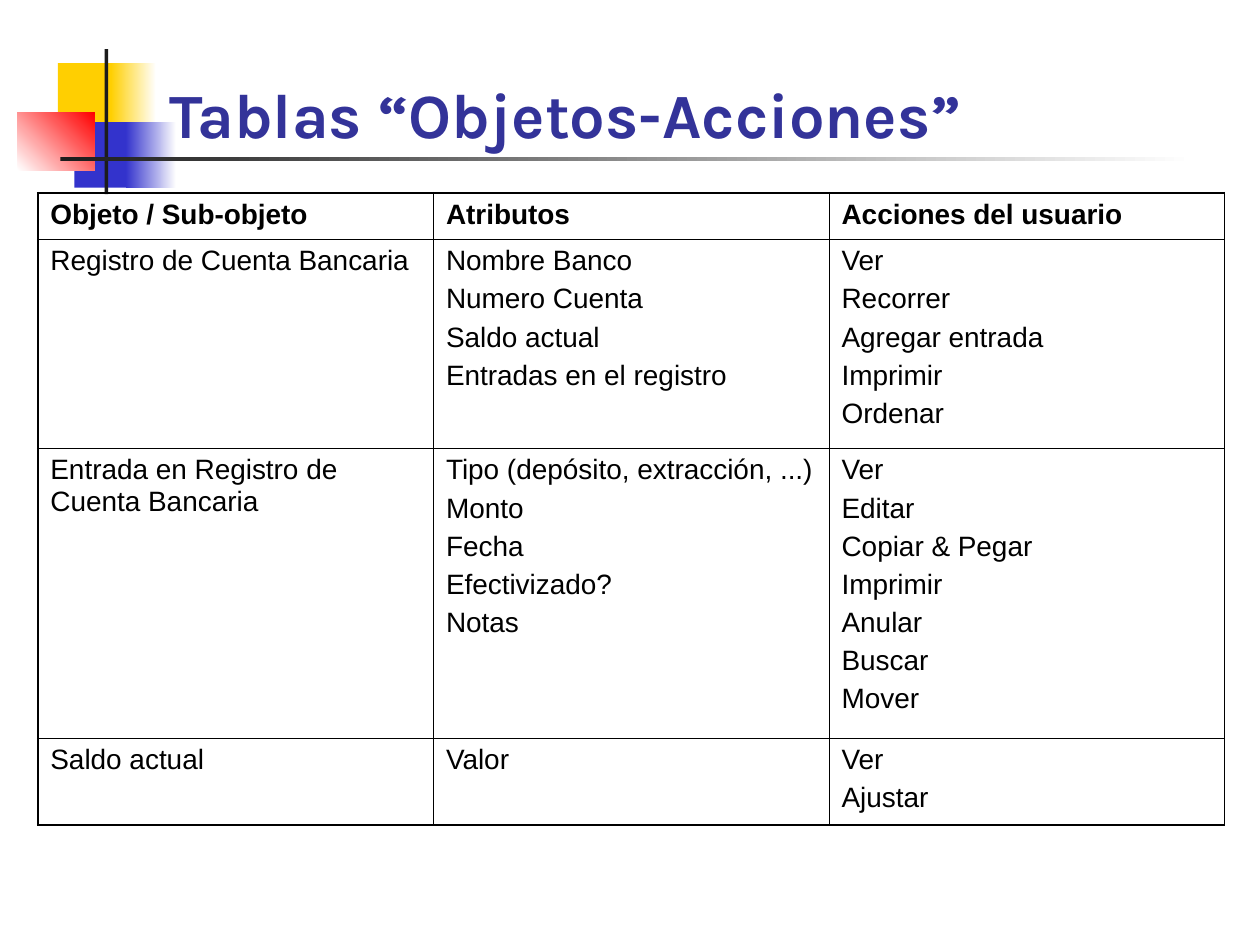
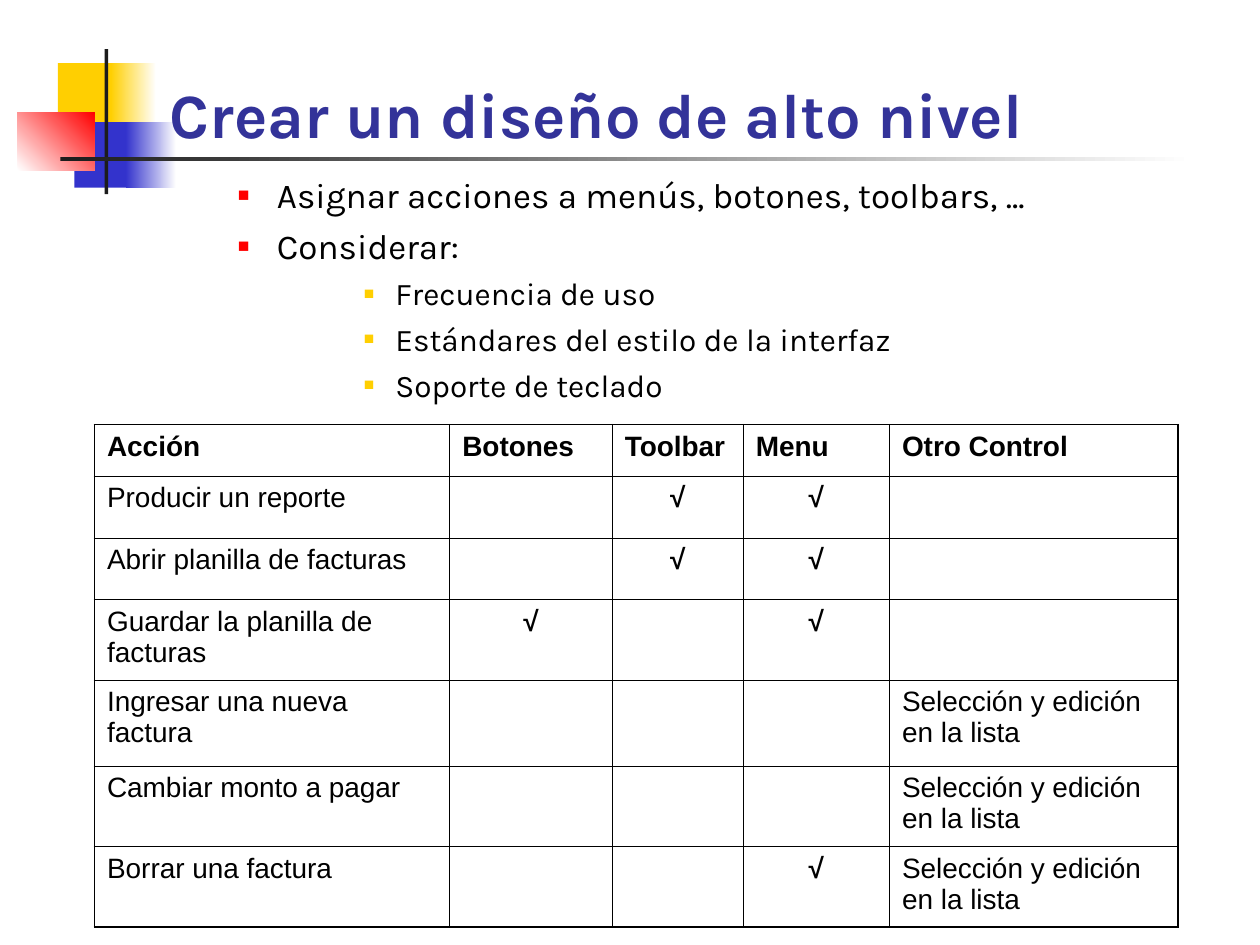
from dataclasses import dataclass

from lxml.etree import SubElement
from pptx import Presentation
from pptx.dml.color import RGBColor
from pptx.enum.shapes import MSO_SHAPE
from pptx.enum.text import MSO_ANCHOR, PP_ALIGN
from pptx.oxml import parse_xml
from pptx.oxml.ns import nsdecls, qn
from pptx.util import Inches, Pt


@dataclass(frozen=True)
class Theme:
    yellow: str = "FFCF01"
    blue: str = "3333CC"
    red: str = "FF0000"
    dark: str = "1C1C1C"
    white: str = "FFFFFF"
    black: str = "000000"
    title_color: str = "333399"
    title_font: str = "Karla"
    table_font: str = "Arial"
    title_size: float = 36
    body_sizes: tuple = (20, 18)
    table_size: float = 16
    outer_border: float = 1.08
    inner_border: float = 0.45


THEME = Theme()
CHECK = "√"
LIST_EDIT = "Selección y edición en la lista"

OBJECTS_TITLE = "Tablas “Objetos-Acciones”"
OBJECTS_TABLE = {
    "origin": (0.3, 1.53),
    "columns": [3.14] * 3,
    "heights": [0.37, 1.66, 2.3, 0.69],
    "rows": [
        ["Objeto / Sub-objeto", "Atributos", "Acciones del usuario"],
        ["Registro de Cuenta Bancaria",
         ["Nombre Banco", "Numero Cuenta", "Saldo actual", "Entradas en el registro"],
         ["Ver", "Recorrer", "Agregar entrada", "Imprimir", "Ordenar"]],
        ["Entrada en Registro de Cuenta Bancaria",
         ["Tipo (depósito, extracción, ...)", "Monto", "Fecha", "Efectivizado?", "Notas"],
         ["Ver", "Editar", "Copiar & Pegar", "Imprimir", "Anular", "Buscar", "Mover"]],
        ["Saldo actual", "Valor", ["Ver", "Ajustar"]],
    ],
}

DESIGN_TITLE = "Crear un diseño de alto nivel"
DESIGN_BULLETS = [
    (0, "Asignar acciones a menús, botones, toolbars, ..."),
    (0, "Considerar:"),
    (1, "Frecuencia de uso"),
    (1, "Estándares del estilo de la interfaz"),
    (1, "Soporte de teclado"),
]
DESIGN_TABLE = {
    "origin": (0.75, 3.37),
    "columns": [2.82, 1.29, 1.04, 1.16, 2.29],
    "heights": [0.41, 0.49, 0.49, 0.64, 0.68, 0.64, 0.64],
    "rows": [
        ["Acción", "Botones", "Toolbar", "Menu", "Otro Control"],
        ["Producir un reporte", "", CHECK, CHECK, ""],
        ["Abrir planilla de facturas", "", CHECK, CHECK, ""],
        ["Guardar la planilla de facturas", CHECK, "", CHECK, ""],
        ["Ingresar una nueva factura", "", "", "", LIST_EDIT],
        ["Cambiar monto a pagar", "", "", "", LIST_EDIT],
        ["Borrar una factura", "", "", CHECK, LIST_EDIT],
    ],
}

DECORATION = [
    ((0.46, 0.5, 0.48, 0.52), (THEME.yellow,), 0),
    ((0.88, 0.5, 0.36, 0.52), (THEME.yellow, THEME.white), 0),
    ((0.59, 0.97, 0.46, 0.52), (THEME.blue,), 0),
    ((1, 0.97, 0.4, 0.52), (THEME.blue, THEME.white), 0),
    ((0.14, 0.89, 0.61, 0.46), (THEME.white, THEME.red), 45),
    ((0.83, 0.39, 0.03, 1.15), (THEME.dark,), 0),
    ((0.48, 1.25, 9, 0.03), (THEME.dark, THEME.white), 0),
]

BULLET_LEVELS = [
    {"level": 1, "margin": 0.81, "hanging": 0.31, "space": 5, "color": THEME.red},
    {"level": 3, "margin": 1.75, "hanging": 0.25, "space": 4.5, "color": THEME.yellow},
]


def write_text(paragraph, text, *, size, font, color=THEME.black, bold=False,
               align=PP_ALIGN.LEFT, space=0):
    paragraph.alignment = align
    paragraph.space_before = Pt(space)
    run = paragraph.add_run()
    run.text = text
    run.font.size = Pt(size)
    run.font.name = font
    run.font.bold = bold
    run.font.color.rgb = RGBColor.from_string(color)


def next_paragraph(text_frame, index):
    return text_frame.add_paragraph() if index else text_frame.paragraphs[0]


def add_text_frame(slide, box, anchor):
    text_frame = slide.shapes.add_textbox(*map(Inches, box)).text_frame
    text_frame.word_wrap = True
    text_frame.vertical_anchor = anchor
    return text_frame


def add_decoration(slide):
    for box, colors, angle in DECORATION:
        shape = slide.shapes.add_shape(MSO_SHAPE.RECTANGLE, *map(Inches, box))
        shape.shadow.inherit = False
        shape.line.fill.background()
        if len(colors) == 1:
            shape.fill.solid()
            shape.fill.fore_color.rgb = RGBColor.from_string(colors[0])
        else:
            shape.fill.gradient()
            shape.fill.gradient_angle = angle
            for stop, color in zip(shape.fill.gradient_stops, colors):
                stop.color.rgb = RGBColor.from_string(color)


def add_titled_slide(presentation, title):
    slide = presentation.slides.add_slide(presentation.slide_layouts[6])
    add_decoration(slide)
    text_frame = add_text_frame(slide, (1.25, 0, 8.52, 1.25), MSO_ANCHOR.BOTTOM)
    write_text(text_frame.paragraphs[0], title, size=THEME.title_size,
               font=THEME.title_font, color=THEME.title_color, bold=True)
    return slide


def set_bullet(paragraph, style):
    paragraph.level = style["level"]
    properties = paragraph._p.get_or_add_pPr()
    properties.set("marL", str(Inches(style["margin"])))
    properties.set("indent", str(-Inches(style["hanging"])))
    color = SubElement(properties, qn("a:buClr"))
    SubElement(color, qn("a:srgbClr"), val=style["color"])
    SubElement(properties, qn("a:buSzPct"), val="55000")
    SubElement(properties, qn("a:buFont"), typeface=THEME.table_font)
    SubElement(properties, qn("a:buChar"), char="■")


def add_bullets(slide, bullets):
    text_frame = add_text_frame(slide, (1.29, 1.33, 8.5, 2), MSO_ANCHOR.TOP)
    for index, (depth, text) in enumerate(bullets):
        paragraph = next_paragraph(text_frame, index)
        style = BULLET_LEVELS[depth]
        write_text(paragraph, text, size=THEME.body_sizes[depth],
                   font=THEME.title_font, space=style["space"])
        set_bullet(paragraph, style)


def set_borders(cell, outer_sides):
    properties = cell._tc.get_or_add_tcPr()
    for index, (side, is_outer) in enumerate(zip("LRTB", outer_sides)):
        width = Pt(THEME.outer_border if is_outer else THEME.inner_border)
        properties.insert(index, parse_xml(
            f'<a:ln{side} {nsdecls("a")} w="{width}"><a:solidFill>'
            f'<a:srgbClr val="{THEME.black}"/></a:solidFill></a:ln{side}>'))


def fill_cell(cell, content, is_header):
    lines = [content] if isinstance(content, str) else content
    for index, line in enumerate(filter(None, lines)):
        is_check = line == CHECK
        write_text(next_paragraph(cell.text_frame, index), line,
                   size=THEME.table_size, font=THEME.table_font, space=4,
                   bold=is_header or is_check,
                   align=PP_ALIGN.CENTER if is_check else PP_ALIGN.LEFT)


def add_grid(slide, grid):
    rows, columns, heights = grid["rows"], grid["columns"], grid["heights"]
    last_row, last_column = len(rows) - 1, len(columns) - 1
    box = (*grid["origin"], sum(columns), sum(heights))
    table = slide.shapes.add_table(len(rows), len(columns), *map(Inches, box)).table
    table.first_row = table.horz_banding = False
    for column, width in zip(table.columns, columns):
        column.width = Inches(width)
    for row, height in zip(table.rows, heights):
        row.height = Inches(height)
    for row_index, row in enumerate(rows):
        for column_index, content in enumerate(row):
            cell = table.cell(row_index, column_index)
            cell.fill.background()
            fill_cell(cell, content, row_index == 0)
            set_borders(cell, (column_index == 0, column_index == last_column,
                               row_index == 0, row_index == last_row))


def main():
    presentation = Presentation()
    presentation.slide_width = Inches(10)
    presentation.slide_height = Inches(7.5)
    add_grid(add_titled_slide(presentation, OBJECTS_TITLE), OBJECTS_TABLE)
    design_slide = add_titled_slide(presentation, DESIGN_TITLE)
    add_bullets(design_slide, DESIGN_BULLETS)
    add_grid(design_slide, DESIGN_TABLE)
    presentation.save("out.pptx")


if __name__ == "__main__":
    main()
